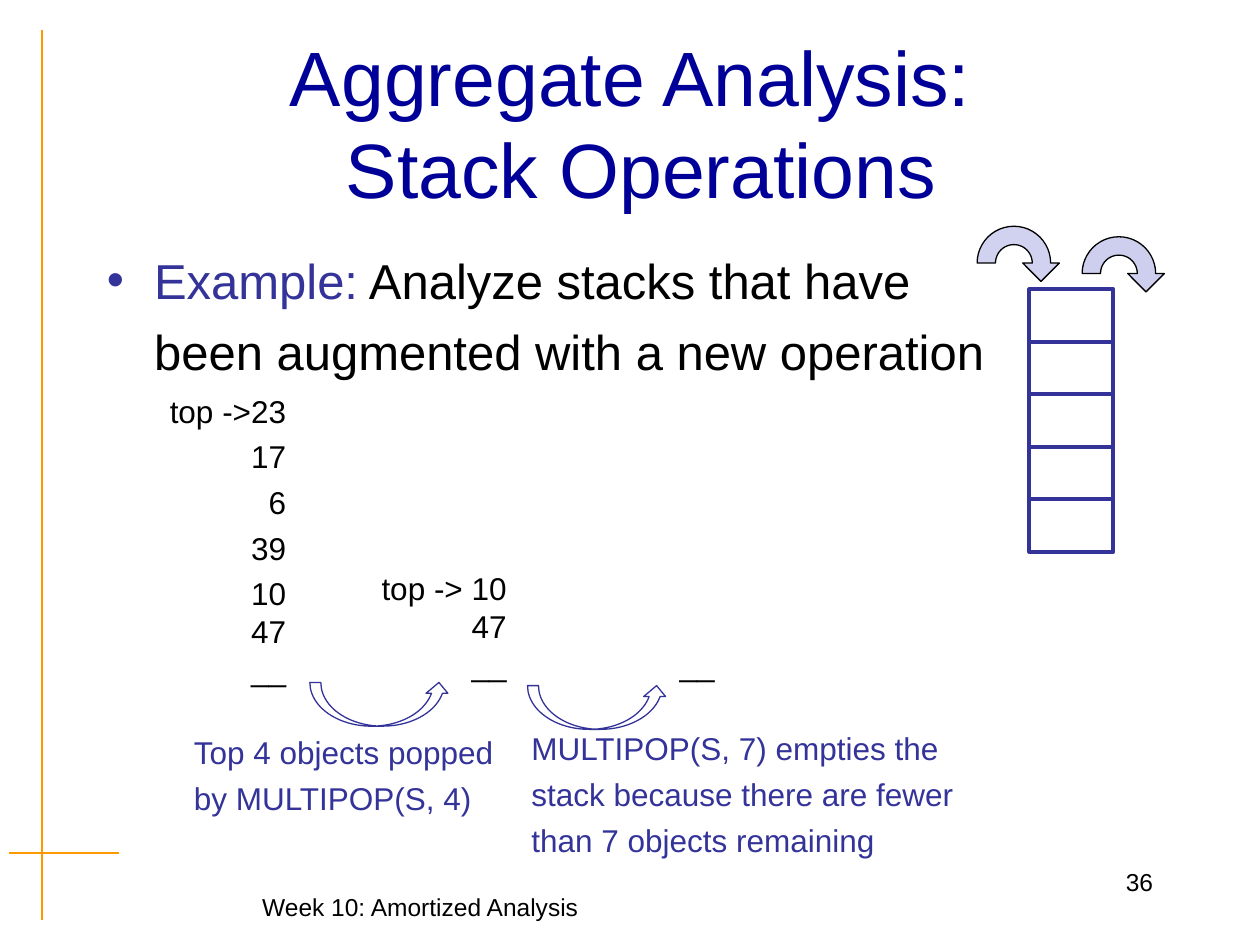
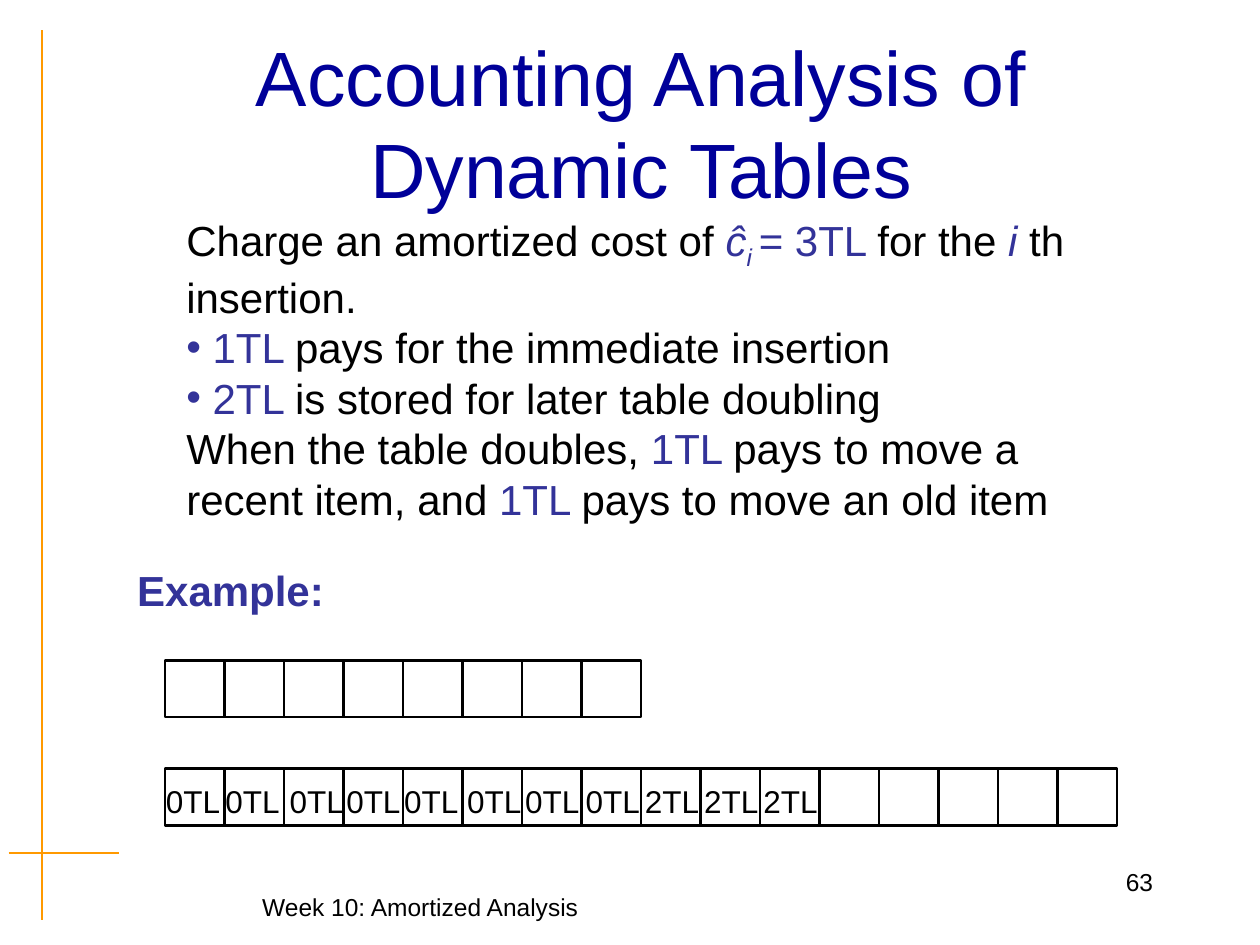
from math import cos, pi, sin

from lxml import etree
from pptx import Presentation
from pptx.dml.color import RGBColor
from pptx.enum.shapes import MSO_CONNECTOR, MSO_SHAPE
from pptx.enum.text import MSO_ANCHOR, PP_ALIGN
from pptx.oxml.ns import qn
from pptx.util import Pt

LEFT, CENTER, RIGHT = PP_ALIGN.LEFT, PP_ALIGN.CENTER, PP_ALIGN.RIGHT
TOP, MIDDLE = MSO_ANCHOR.TOP, MSO_ANCHOR.MIDDLE
STRAIGHT = MSO_CONNECTOR.STRAIGHT
RECTANGLE, CURVED_UP_ARROW = MSO_SHAPE.RECTANGLE, MSO_SHAPE.CURVED_UP_ARROW

FONT = "Arial"
COLORS = {
    "title": "000099",
    "accent": "333399",
    "text": "000000",
    "rule": "FF9900",
    "push": "D1D1F0",
    "pop": "CECEEF",
}


def rgb(name):
    return RGBColor.from_string(COLORS[name])


def write_paragraph(paragraph, content, size, color, align, before, bold):
    paragraph.alignment = align
    paragraph.space_before = Pt(before)
    font = paragraph.font
    font.name, font.size, font.bold = FONT, Pt(size), bold
    if isinstance(content, str):
        font.color.rgb = rgb(color)
        paragraph.text = content
        return
    for words, run_color, *styles in content:
        run = paragraph.add_run()
        run.text = words
        run.font.color.rgb = rgb(run_color)
        if "italic" in styles:
            run.font.italic = True
        if "subscript" in styles:
            run.font._element.set("baseline", "-25000")


def add_text(slide, box, paragraphs, size, color="text", align=LEFT,
             befores=None, anchor=TOP, bold=False, wrap=True):
    frame = slide.shapes.add_textbox(*map(Pt, box)).text_frame
    frame.word_wrap = wrap
    frame.vertical_anchor = anchor
    befores = befores or [0] * len(paragraphs)
    for index, (content, before) in enumerate(zip(paragraphs, befores)):
        paragraph = frame.add_paragraph() if index else frame.paragraphs[0]
        write_paragraph(paragraph, content, size, color, align, before, bold)
    return frame


def indent(paragraph, margin, bullet=False):
    properties = paragraph._p.get_or_add_pPr()
    properties.set("marL", str(Pt(margin)))
    properties.set("indent", str(-Pt(margin) if bullet else 0))
    if bullet:
        bullet_color = etree.Element(qn("a:buClr"))
        etree.SubElement(bullet_color, qn("a:srgbClr"), val=COLORS["accent"])
        bullet_font = etree.Element(qn("a:buFont"), typeface=FONT)
        bullet_char = etree.Element(qn("a:buChar"), char="•")
        default_run = properties.find(qn("a:defRPr"))
        for part in (bullet_color, bullet_font, bullet_char):
            default_run.addprevious(part)


def style_shape(shape, line, width, fill=None):
    shape.shadow.inherit = False
    shape.line.color.rgb = rgb(line)
    shape.line.width = Pt(width)
    if fill:
        shape.fill.solid()
        shape.fill.fore_color.rgb = rgb(fill)
    else:
        shape.fill.background()


def add_outline(slide, kind, box, line, width):
    shape = slide.shapes.add_shape(kind, *map(Pt, box))
    style_shape(shape, line, width)


def add_cells(slide, left, top, width, height, count, line, weight, down=False):
    for index in range(count):
        x = left if down else left + index * width
        y = top + index * height if down else top
        add_outline(slide, RECTANGLE, (x, y, width, height), line, weight)


def add_turning_arrow(slide, center_x, center_y, fill):
    outer, inner, head, steps = 21, 10.5, 10.5, 24
    angles = [pi * step / steps for step in range(steps + 1)]
    points = [(5, 0)]
    points += [(inner * cos(a), -inner * sin(a)) for a in angles]
    points += [(outer * cos(a), -outer * sin(a)) for a in reversed(angles)]
    points += [(26, 0), (15.5, head)]
    places = [(Pt(center_x + x), Pt(center_y + y)) for x, y in points]
    builder = slide.shapes.build_freeform(*places[0])
    builder.add_line_segments(places[1:], close=True)
    style_shape(builder.convert_to_shape(), "text", 0.75, fill)


def add_rule(slide, *ends):
    rule = slide.shapes.add_connector(STRAIGHT, *map(Pt, ends))
    rule.line.color.rgb = rgb("rule")
    rule.line.width = Pt(1.19)
    etree.SubElement(rule._element.spPr, qn("a:effectLst"))


def add_base_slide(deck, title, number):
    slide = deck.slides.add_slide(deck.slide_layouts[6])
    add_rule(slide, 24, 17.25, 24, 525.5)
    add_rule(slide, 5, 487.5, 68.25, 487.5)
    add_text(slide, (63.4, 506.2, 353.5, 24.5), ["Week 10: Amortized Analysis"],
             14, align=CENTER)
    add_text(slide, (60.5, 24.5, 612, 90), [title], 44, "title", CENTER,
             anchor=MIDDLE)
    add_text(slide, (516.2, 491.8, 149.8, 36), [number], 14, align=RIGHT)
    return slide


def build_stack_slide(deck):
    slide = add_base_slide(deck, "Aggregate Analysis: \vStack Operations", "36")
    example = add_text(slide, (54, 139.7, 612, 235.4), [
        [("Example:", "accent"), (" Analyze stacks that have", "text")],
        "been augmented with a new operation",
    ], 28, befores=[7, 7])
    indent(example.paragraphs[0], 27, bullet=True)
    indent(example.paragraphs[1], 27)

    add_cells(slide, 588.25, 165.4, 48, 30, 5, "accent", 2.25, down=True)
    add_turning_arrow(slide, 639.4, 156.3, "pop")
    add_turning_arrow(slide, 579.4, 150.3, "push")

    stack_states = [
        ((69.1, 220.3, 101.5, 176.4),
         ["top ->23", "17", "6", "39", "10", "47", "__"], [4.5] * 5 + [0, 0]),
        ((195.1, 321.8, 101.5, 72), ["top -> 10", "47", "__"], [4.5, 0, 0]),
        ((313.9, 365, 101.5, 28.8), ["__"], [0]),
    ]
    for box, entries, befores in stack_states:
        add_text(slide, box, entries, 18, align=RIGHT, befores=befores)

    captions = [
        ((103.7, 415.4, 202.3, 55.4),
         ["Top 4 objects popped", "by MULTIPOP(S, 4)"]),
        ((296.6, 413.3, 261.4, 81.4),
         ["MULTIPOP(S, 7) empties the", "stack because there are fewer",
          "than 7 objects remaining"]),
    ]
    for box, lines in captions:
        add_text(slide, box, lines, 18, "accent", befores=[4.5] * len(lines))

    for left, top in ((177.1, 390), (301.5, 391.8)):
        add_outline(slide, CURVED_UP_ARROW, (left, top, 80, 25), "accent", 0.75)


def build_accounting_slide(deck):
    slide = add_base_slide(deck, "Accounting Analysis of Dynamic Tables", "63")
    add_text(slide, (71.3, 319, 121, 36), ["Example:"], 24, "accent",
             bold=True, wrap=False)
    charges = add_text(slide, (99.4, 118.8, 547.2, 184.3), [
        [("Charge an amortized cost of ", "text"), ("ĉ", "accent", "italic"),
         ("i ", "accent", "italic", "subscript"), ("= 3TL ", "accent"),
         ("for the ", "text"), ("i ", "accent", "italic"), ("th", "text")],
        "insertion.",
        [("1TL ", "accent"), ("pays for the immediate insertion", "text")],
        [("2TL ", "accent"), ("is stored for later table doubling", "text")],
        [("When the table doubles,", "text"), (" 1TL ", "accent"),
         ("pays to move a", "text")],
        [("recent item, and ", "text"), ("1TL ", "accent"),
         ("pays to move an old item", "text")],
    ], 24)
    for charge in charges.paragraphs[2:4]:
        indent(charge, 15, bullet=True)

    for top, count in ((377.25, 8), (439.25, 16)):
        add_cells(slide, 94.25, top, 34, 32.5, count, "text", 1.5)

    credit_lefts = [87.8, 121.7, 158.4, 190.8, 223.9, 259.9, 293, 327.6,
                    361.4, 395.3, 429.1]
    for index, left in enumerate(credit_lefts):
        credit = "0TL" if index < 8 else "2TL"
        add_text(slide, (left, 443.25, 57.6, 28.8), [credit], 18)


def main():
    deck = Presentation()
    deck.slide_width, deck.slide_height = Pt(720), Pt(540)
    build_stack_slide(deck)
    build_accounting_slide(deck)
    deck.save("out.pptx")


if __name__ == "__main__":
    main()
